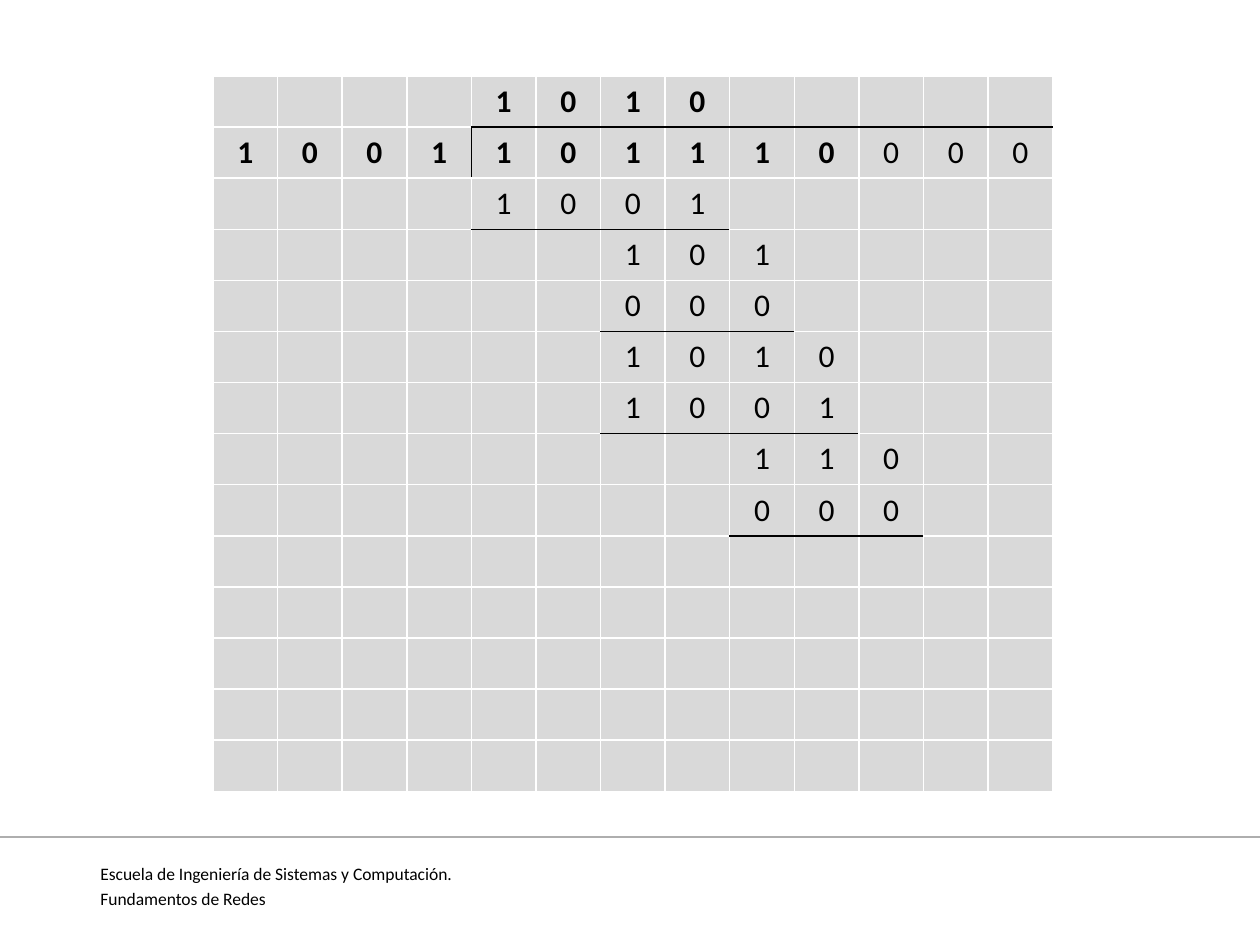
"""Builds a slide with a binary long division laid out in a table."""
from lxml import etree
from pptx import Presentation, util as u
from pptx.dml.color import RGBColor
from pptx.enum import shapes, text
from pptx.oxml import ns

DIVISION = [
    "    1010     ",
    "1001101110000",
    "    1001     ",
    "      101    ",
    "      000    ",
    "      1010   ",
    "      1001   ",
    "        110  ",
    "        000  ",
] + [" " * 13] * 5
RULES_BELOW = {0: (4, 12), 2: (4, 7), 4: (6, 8), 6: (6, 9), 8: (8, 10)}
DIVISOR_BAR = (1, 4)
BOLD_ROWS, BOLD_COLUMNS = 2, 10
FOOTER = ["Escuela de Ingeniería de Sistemas y Computación.", "Fundamentos de Redes"]
FONT, BLACK, WHITE, CELL_GREY, RULE_GREY = "Calibri", "000000", "FFFFFF", "D9D9D9", "AEAEAE"
TABLE_BOX = (213, 76, 840, 716)
FOOTER_BOX = (88, 857, 1131, 49)
WIDTH, HEIGHT, FOOTER_RULE_TOP = 1260, 945, 837


def px(length):
    return u.Emu(length * 914400 // 126)


def color(value):
    return RGBColor.from_string(value)


def add_run(paragraph, words, size, bold=False):
    run = paragraph.add_run()
    run.text = words
    run.font.name, run.font.size, run.font.bold = FONT, u.Pt(size), bold
    run.font.color.rgb = color(BLACK)


def ruled(row, column):
    first, last = RULES_BELOW.get(row, (1, 0))
    return first <= column <= last


def set_borders(cell, row, column):
    black_sides = {
        "lnL": (row, column) == DIVISOR_BAR,
        "lnR": (row, column + 1) == DIVISOR_BAR,
        "lnT": ruled(row - 1, column),
        "lnB": ruled(row, column),
    }
    properties = cell._tc.get_or_add_tcPr()
    for side, black in black_sides.items():
        line = etree.SubElement(properties, ns.qn(f"a:{side}"), w=str(u.Pt(1)))
        fill = etree.SubElement(line, ns.qn("a:solidFill"))
        etree.SubElement(fill, ns.qn("a:srgbClr"), val=BLACK if black else WHITE)


def add_footer(slide):
    rule = slide.shapes.add_connector(
        shapes.MSO_CONNECTOR.STRAIGHT, 0, px(FOOTER_RULE_TOP), px(WIDTH), px(FOOTER_RULE_TOP))
    rule.line.color.rgb, rule.line.width = color(RULE_GREY), u.Pt(0.75)
    etree.SubElement(rule._element.spPr, ns.qn("a:effectLst"))
    frame = slide.shapes.add_textbox(*map(px, FOOTER_BOX)).text_frame
    frame.word_wrap = True
    for index, words in enumerate(FOOTER):
        paragraph = frame.add_paragraph() if index else frame.paragraphs[0]
        paragraph.alignment = text.PP_ALIGN.JUSTIFY
        paragraph.space_before = u.Pt(2 if index else 0)
        add_run(paragraph, words, 10)


def add_division(slide):
    rows, columns = len(DIVISION), len(DIVISION[0])
    table = slide.shapes.add_table(rows, columns, *map(px, TABLE_BOX)).table
    table.first_row = table.horz_banding = False
    for row, digits in enumerate(DIVISION):
        for column, digit in enumerate(digits):
            cell = table.cell(row, column)
            set_borders(cell, row, column)
            cell.fill.solid()
            cell.fill.fore_color.rgb = color(CELL_GREY)
            if digit.strip():
                paragraph = cell.text_frame.paragraphs[0]
                paragraph.alignment = text.PP_ALIGN.CENTER
                add_run(paragraph, digit, 18, row < BOLD_ROWS and column < BOLD_COLUMNS)


def main():
    presentation = Presentation()
    presentation.slide_width, presentation.slide_height = px(WIDTH), px(HEIGHT)
    slide = presentation.slides.add_slide(presentation.slide_layouts[6])
    add_footer(slide)
    add_division(slide)
    presentation.save("out.pptx")


if __name__ == "__main__":
    main()
